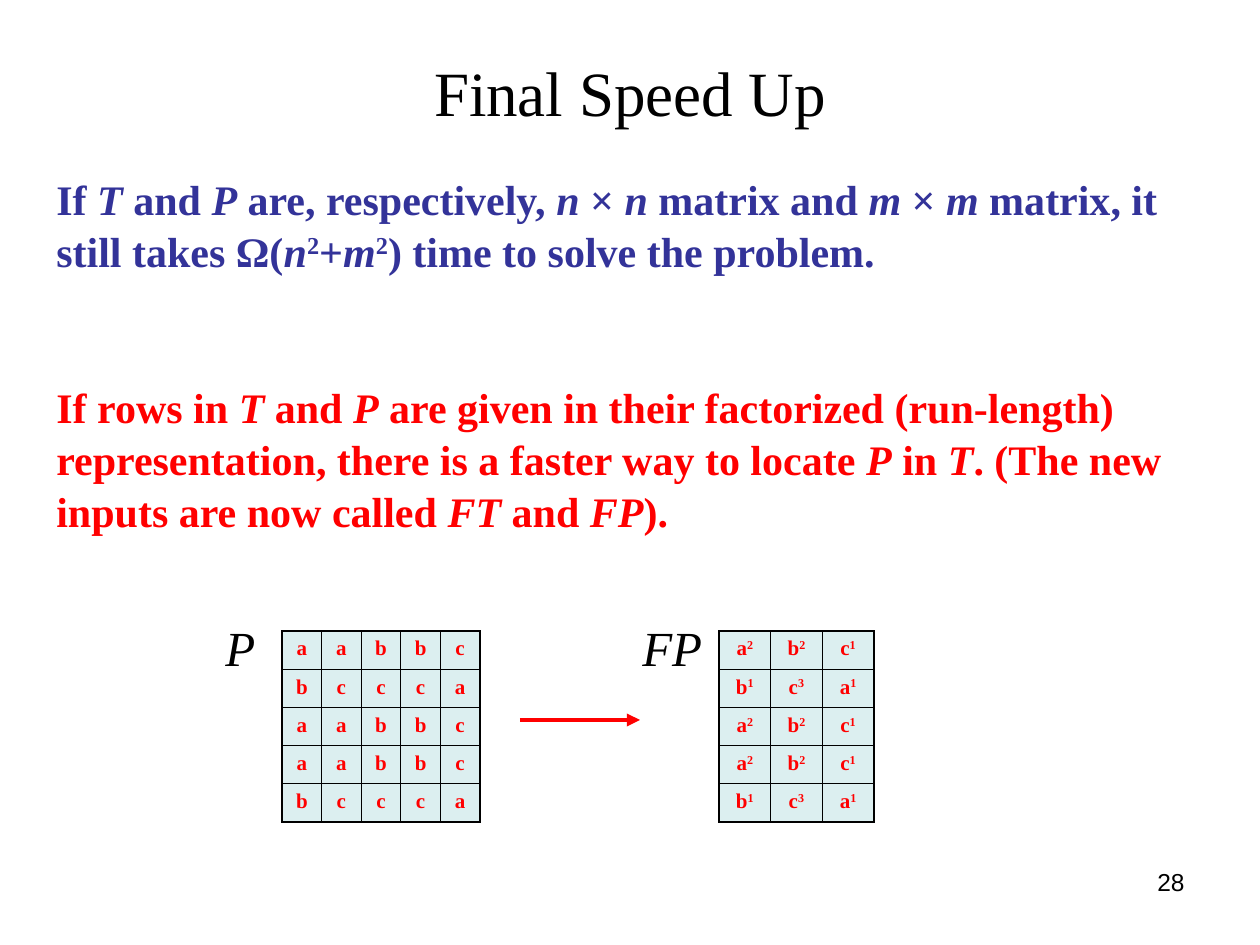
"""Build the slide on run-length factorized matrices."""
import pptx
import pptx.dml.color
import pptx.enum.shapes
import pptx.enum.text
import pptx.oxml
import pptx.oxml.ns
import pptx.util
from lxml import etree

COLORS = {"ink": "000000", "blue": "333399", "red": "FF0000", "cell": "BBE0E3"}
ALIGN = pptx.enum.text.PP_ALIGN
ANCHOR = pptx.enum.text.MSO_ANCHOR
THIN, THICK = 0.45, 1.08


def px(length):
    return pptx.util.Emu(round(length * 914400 / 126))


def rgb(name):
    return pptx.dml.color.RGBColor.from_string(COLORS[name])


def child(parent, tag, **attributes):
    return etree.SubElement(parent, pptx.oxml.ns.qn(tag), attributes)


class Painter:
    def __init__(self, page, font):
        self.page = page
        self.font = font

    def fill_para(self, para, text, size, color, align=ALIGN.LEFT, bold=False, italic=False, font=None):
        para.alignment = align
        para.font.name = font or self.font
        para.font.size = pptx.util.Pt(size)
        para.font.bold = bold
        para.font.italic = italic
        para.font.color.rgb = rgb(color)
        for i, chunk in enumerate(text.split("*")):
            for j, part in enumerate(chunk.split("^")):
                if not part:
                    continue
                span = para.add_run()
                span.text = part
                if i % 2:
                    span.font.italic = True
                if j % 2:
                    span.font._element.set("baseline", "30000")

    def title(self, text, left, top, width, height):
        box = self.page.shapes.title
        box.left, box.top, box.width, box.height = map(px, (left, top, width, height))
        box.text_frame.vertical_anchor = ANCHOR.MIDDLE
        self.fill_para(box.text_frame.paragraphs[0], text, 36, "ink", ALIGN.CENTER)

    def text(self, lines, left, top, width, height, size, gap=0, spacing=None, **style):
        box = self.page.shapes.add_textbox(*map(px, (left, top, width, height)))
        frame = box.text_frame
        frame.word_wrap = True
        for index, (line, color) in enumerate(lines):
            para = frame.add_paragraph() if index else frame.paragraphs[0]
            if index:
                para.space_before = pptx.util.Pt(gap)
            if spacing:
                para.line_spacing = spacing
            self.fill_para(para, line, size, color, **style)

    def border(self, cell, side, weight):
        line = child(cell._tc.get_or_add_tcPr(), "a:ln" + side, w=str(pptx.util.Pt(weight)))
        child(child(line, "a:solidFill"), "a:srgbClr", val=COLORS["ink"])

    def matrix(self, rows, left, top, width, height):
        last_row, last_column = len(rows) - 1, len(rows[0]) - 1
        frame = self.page.shapes.add_table(
            len(rows), len(rows[0]), *map(px, (left, top, width, height)))
        table = frame.table
        table.first_row = table.horz_banding = False
        for column in table.columns:
            column.width = px(width / len(rows[0]))
        for r, row in enumerate(rows):
            table.rows[r].height = px(height / len(rows))
            for c, value in enumerate(row):
                cell = table.cell(r, c)
                edges = {"L": c == 0, "R": c == last_column, "T": r == 0, "B": r == last_row}
                for side, outer in edges.items():
                    self.border(cell, side, THICK if outer else THIN)
                cell.fill.solid()
                cell.fill.fore_color.rgb = rgb("cell")
                tint = cell._tc.tcPr.find(pptx.oxml.ns.qn("a:solidFill"))[0]
                child(tint, "a:alpha", val="50000")
                self.fill_para(
                    cell.text_frame.paragraphs[0], value, 12, "red", ALIGN.CENTER, bold=True)

    def arrow(self, start_x, end_x, y, weight):
        line = self.page.shapes.add_connector(
            pptx.enum.shapes.MSO_CONNECTOR.STRAIGHT, *map(px, (start_x, y, end_x, y)))
        line.line.color.rgb = rgb("red")
        line.line.width = pptx.util.Pt(weight)
        child(line.line._get_or_add_ln(), "a:tailEnd", type="triangle")
        child(line._element.spPr, "a:effectLst")


def main():
    deck = pptx.Presentation()
    deck.slide_width, deck.slide_height = px(1260), px(945)
    painter = Painter(deck.slides.add_slide(deck.slide_layouts[5]), "Times New Roman")
    painter.title("Final Speed Up", 63, 38, 1134, 107)
    painter.text([
        ("If *T* and *P* are, respectively, *n *× *n* matrix and *m *× *m* matrix, it still takes "
         "Ω(*n*^2^+*m*^2^) time to solve the problem.", "blue"),
        ("If rows in *T* and *P* are given in their factorized (run-length) representation, there "
         "is a faster way to locate *P* in *T*. (The new inputs are now called *FT* and *FP*).",
         "red"),
    ], 44, 165, 1171, 368, 24, gap=59, spacing=1.04, bold=True)

    long_row, short_row = list("aabbc"), list("bccca")
    painter.matrix([long_row, short_row, long_row, long_row, short_row], 282, 631, 198, 191)
    painter.text([("P", "ink")], 213, 611, 69, 72, 28, italic=True)

    long_runs, short_runs = ["a^2^", "b^2^", "c^1^"], ["b^1^", "c^3^", "a^1^"]
    painter.matrix([long_runs, short_runs, long_runs, long_runs, short_runs], 719, 631, 155, 191)
    painter.text([("FP", "ink")], 630, 611, 89, 72, 28, italic=True)

    painter.arrow(520, 640, 720, 2.5)
    painter.text([("28", "ink")], 903, 861, 294, 66, 14, align=ALIGN.RIGHT, font="Arial")
    deck.save("out.pptx")


if __name__ == "__main__":
    main()
